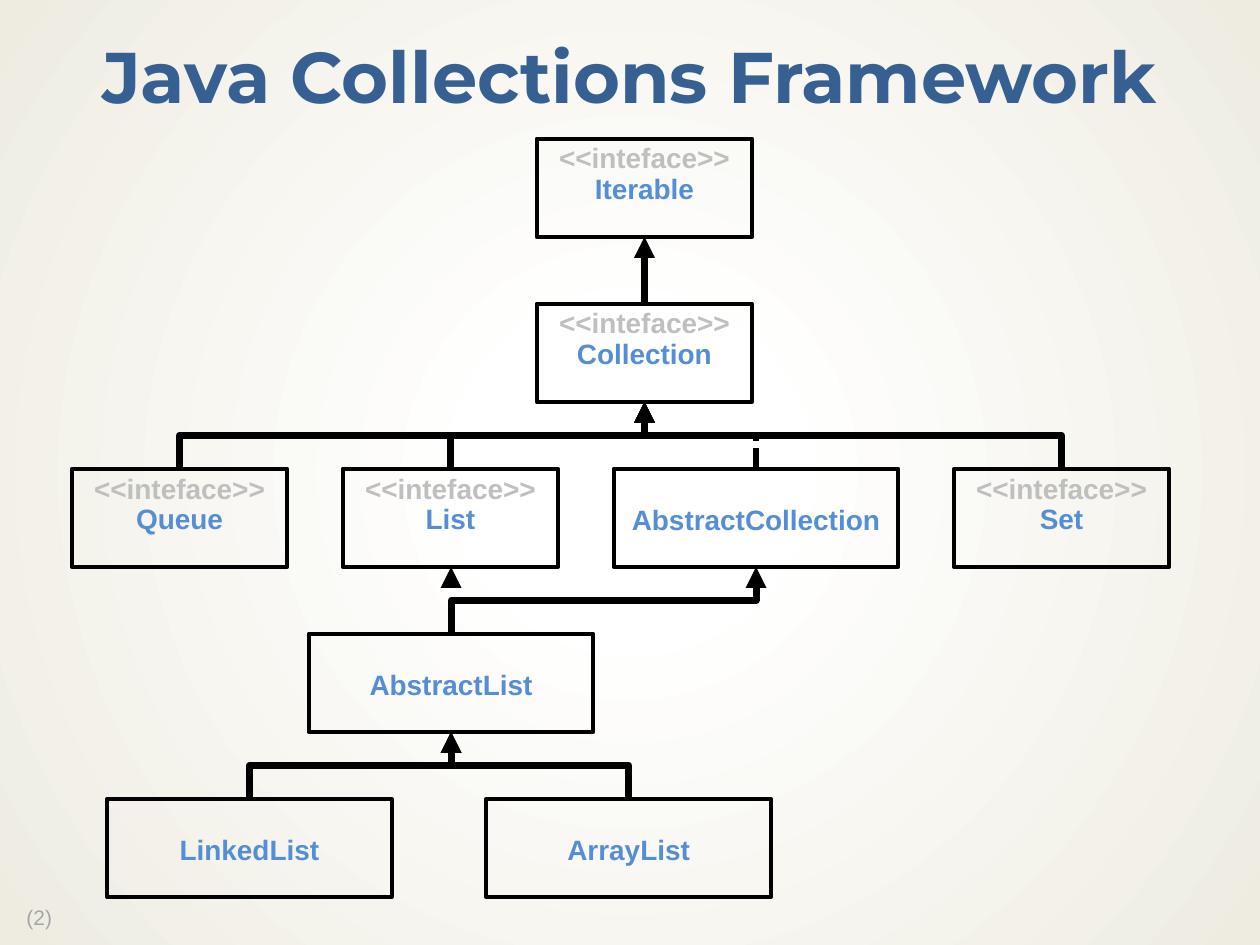
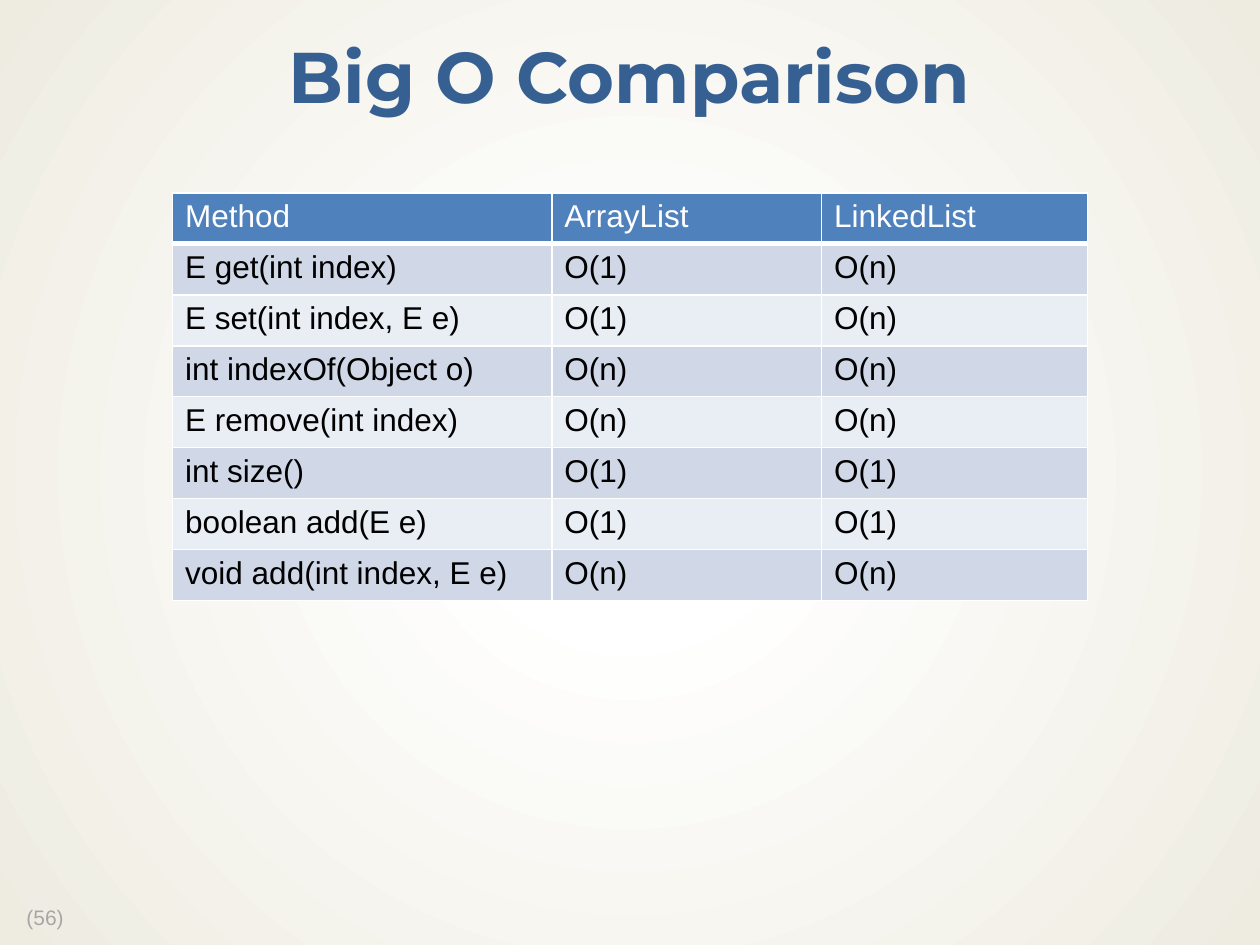
from dataclasses import dataclass

from pptx import Presentation
from pptx.dml.color import RGBColor
from pptx.enum.dml import MSO_LINE
from pptx.enum.shapes import MSO_CONNECTOR, MSO_SHAPE
from pptx.enum.text import MSO_ANCHOR, PP_ALIGN
from pptx.oxml import parse_xml
from pptx.oxml.ns import nsdecls, qn
from pptx.util import Inches, Pt

LEFT, CENTER = PP_ALIGN.LEFT, PP_ALIGN.CENTER
TOP, MIDDLE = MSO_ANCHOR.TOP, MSO_ANCHOR.MIDDLE
DASH, SHORT_DASH = MSO_LINE.DASH, MSO_LINE.SQUARE_DOT
STRAIGHT, ELBOW = MSO_CONNECTOR.STRAIGHT, MSO_CONNECTOR.ELBOW
RECTANGLE = MSO_SHAPE.RECTANGLE


@dataclass(frozen=True)
class Theme:
    title_font: str = "Montserrat"
    body_font: str = "Arial"
    title_size: float = 41
    class_size: float = 16
    table_size: float = 18
    number_size: float = 12
    title: str = "376092"
    class_name: str = "558ED5"
    stereotype: str = "BFBFBF"
    number: str = "A6A6A6"
    ink: str = "000000"
    paper: str = "FFFFFF"
    paper_edge: str = "EEECE1"
    header: str = "4F81BD"
    odd_row: str = "D0D8E8"
    even_row: str = "E9EDF4"
    box_line: float = 2.25
    arrow_line: float = 4


theme = Theme()


def write(frame, lines, size, font=theme.body_font, bold=False, align=LEFT,
          spacing=0.9, anchor=TOP, insets=(0.1, 0.05, 0.1, 0.05)):
    """Fill a text frame with (text, colour) lines in one style."""
    frame.word_wrap = True
    frame.vertical_anchor = anchor
    (frame.margin_left, frame.margin_top,
     frame.margin_right, frame.margin_bottom) = map(Inches, insets)
    frame.text = "\n".join(text for text, _ in lines)
    for paragraph, (_, colour) in zip(frame.paragraphs, lines):
        paragraph.alignment = align
        paragraph.line_spacing = spacing
        style = paragraph.runs[0].font
        style.name, style.size, style.bold = font, Pt(size), bold
        style.color.rgb = RGBColor.from_string(colour)


def start_slide(title, number):
    """Add a blank slide with its title and bracketed number."""
    slide = prs.slides.add_slide(prs.slide_layouts[6])
    number_box = slide.shapes.add_textbox(
        Inches(0.07), Inches(7.15), Inches(0.56), Inches(0.28))
    write(number_box.text_frame, [(f"({number})", theme.number)],
          theme.number_size, insets=(0.14, 0.05, 0, 0.05))
    title_box = slide.shapes.add_textbox(0, Inches(0.17), prs.slide_width, Inches(0.94))
    write(title_box.text_frame, [(title, theme.title)], theme.title_size,
          theme.title_font, True, CENTER, anchor=MIDDLE,
          insets=(0.13, 0.06, 0.13, 0.06))
    return slide


prs = Presentation()
prs.slide_width, prs.slide_height = Inches(10), Inches(7.5)

# Shared background: a white glow fading to cream, set on the master
master_content = prs.slide_master.element.find(qn("p:cSld"))
for old_background in master_content.findall(qn("p:bg")):
    master_content.remove(old_background)
master_content.insert(0, parse_xml(
    f'<p:bg {nsdecls("p", "a")}><p:bgPr><a:gradFill rotWithShape="1"><a:gsLst>'
    f'<a:gs pos="18000"><a:srgbClr val="{theme.paper}"><a:alpha val="53000"/></a:srgbClr></a:gs>'
    f'<a:gs pos="100000"><a:srgbClr val="{theme.paper_edge}"/></a:gs></a:gsLst>'
    '<a:path path="circle"><a:fillToRect l="50000" t="50000" r="50000" b="50000"/></a:path>'
    '</a:gradFill><a:effectLst/></p:bgPr></p:bg>'))

# Slide 1: class hierarchy
hierarchy = start_slide("Java Collections Framework", 2)

FIRST_ROW, ROW_PITCH, BOX_HEIGHT = 1.1, 1.31, 0.78
INTERFACE_WIDTH, CLASS_WIDTH = 1.71, 2.26
interfaces = {"Iterable", "Collection", "Queue", "List", "Set"}
# Each level: left edge, gap between boxes, names
levels = [
    (4.26, 0, ["Iterable"]),
    (4.26, 0, ["Collection"]),
    (0.57, 0.44, ["Queue", "List", "AbstractCollection", "Set"]),
    (2.45, 0, ["AbstractList"]),
    (0.85, 0.75, ["LinkedList", "ArrayList"]),
]

places = {}  # name: (centre x, top)
for row, (left, gap, names) in enumerate(levels):
    top = FIRST_ROW + row * ROW_PITCH
    for name in names:
        is_interface = name in interfaces
        width = INTERFACE_WIDTH if is_interface else CLASS_WIDTH
        box = hierarchy.shapes.add_shape(
            RECTANGLE, Inches(left), Inches(top), Inches(width), Inches(BOX_HEIGHT))
        box.shadow.inherit = False
        box.fill.background()
        box.line.color.rgb = RGBColor.from_string(theme.ink)
        box.line.width = Pt(theme.box_line)
        lines = [(name, theme.class_name)]
        if is_interface:
            lines.insert(0, ("<<inteface>>", theme.stereotype))
        write(box.text_frame, lines, theme.class_size, bold=True, align=CENTER,
              insets=(0.1, 0.05 if is_interface else 0.3, 0.1, 0.05))
        places[name] = (left + width / 2, top)
        left += width + gap

# Inheritance arrows: child, parent, dash style
arrows = [
    ("Collection", "Iterable", None),
    ("Queue", "Collection", None),
    ("List", "Collection", None),
    ("Set", "Collection", None),
    ("AbstractList", "List", DASH),
    ("AbstractList", "AbstractCollection", None),
    ("LinkedList", "AbstractList", None),
    ("ArrayList", "AbstractList", None),
    ("AbstractCollection", "Collection", SHORT_DASH),
]
for child, parent, dash in arrows:
    child_x, child_top = places[child]
    parent_x, parent_top = places[parent]
    rise = child_top - parent_top - BOX_HEIGHT
    run = abs(parent_x - child_x)
    middle_x, middle_y = (child_x + parent_x) / 2, child_top - rise / 2
    is_straight = run < 0.02
    if is_straight:
        ends = (child_x, child_top, child_x, child_top - rise)
    else:
        # Lay the elbow on its side; the turn below makes it leave upwards
        side = 1 if parent_x > child_x else -1
        ends = (middle_x + side * rise / 2, middle_y + run / 2,
                middle_x - side * rise / 2, middle_y - run / 2)
    arrow = hierarchy.shapes.add_connector(
        STRAIGHT if is_straight else ELBOW, *map(Inches, ends))
    arrow.line.color.rgb = RGBColor.from_string(theme.ink)
    arrow.line.width = Pt(theme.arrow_line)
    if dash:
        arrow.line.dash_style = dash
    properties = arrow.element.spPr
    if not is_straight:
        turn = 90 if side > 0 else 270
        properties.find(qn("a:xfrm")).set("rot", str(turn * 60000))
    properties.find(qn("a:ln")).append(
        parse_xml(f'<a:tailEnd {nsdecls("a")} type="triangle"/>'))
    properties.append(parse_xml(f'<a:effectLst {nsdecls("a")}/>'))

# Slide 2: cost of each list method
comparison = start_slide("Big O Comparison", 56)

costs = [
    ("Method", "ArrayList", "LinkedList"),
    ("E get(int index)", "O(1)", "O(n)"),
    ("E set(int index, E e)", "O(1)", "O(n)"),
    ("int indexOf(Object o)", "O(n)", "O(n)"),
    ("E remove(int index)", "O(n)", "O(n)"),
    ("int size()", "O(1)", "O(1)"),
    ("boolean add(E e)", "O(1)", "O(1)"),
    ("void add(int index, E e)", "O(n)", "O(n)"),
]
column_widths = [3.01, 2.14, 2.11]
TABLE_HEIGHT = 3.24

table = comparison.shapes.add_table(
    len(costs), len(column_widths), Inches(1.37), Inches(1.53),
    Inches(sum(column_widths)), Inches(TABLE_HEIGHT)).table
for column, width in zip(table.columns, column_widths):
    column.width = Inches(width)

for row, values in enumerate(costs):
    is_header = row == 0
    fill = theme.header if is_header else theme.odd_row if row % 2 else theme.even_row
    ink = theme.paper if is_header else theme.ink
    for column, value in enumerate(values):
        cell = table.cell(row, column)
        write(cell.text_frame, [(value, ink)], theme.table_size, spacing=1)
        borders = cell._tc.get_or_add_tcPr()
        for edge in "LRTB":
            weight = Pt(3 if is_header and edge == "B" else 1)
            borders.append(parse_xml(
                f'<a:ln{edge} {nsdecls("a")} w="{weight}"><a:solidFill>'
                f'<a:srgbClr val="{theme.paper}"/></a:solidFill></a:ln{edge}>'))
        cell.fill.solid()
        cell.fill.fore_color.rgb = RGBColor.from_string(fill)

prs.save("out.pptx")
